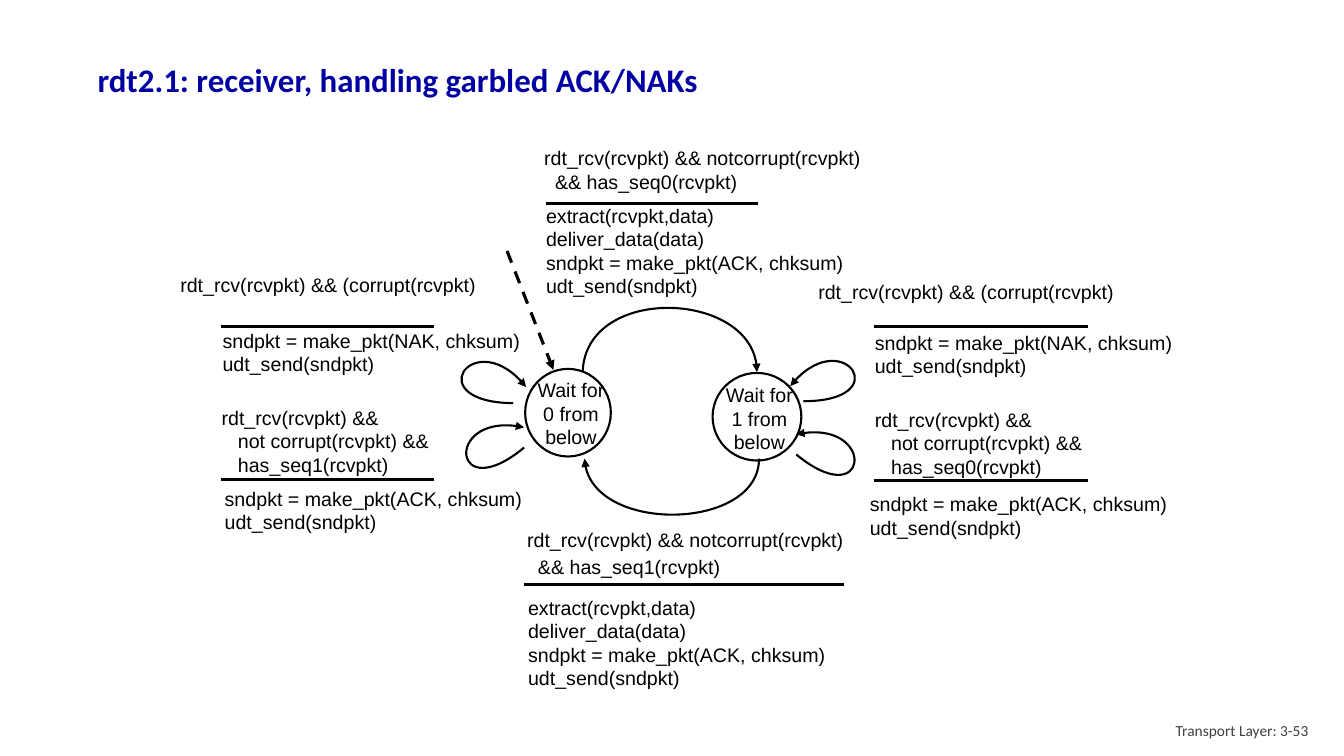
import pptx
import pptx.dml.color
import pptx.enum.dml
import pptx.enum.shapes
import pptx.enum.text
import pptx.oxml.ns
import pptx.util

Pt = pptx.util.Pt
qn = pptx.oxml.ns.qn
Align = pptx.enum.text.PP_ALIGN
Anchor = pptx.enum.text.MSO_ANCHOR

COLORS = {"title": "0000A3", "ink": "000000", "paper": "FFFFFF", "footer": "404040"}

NOT_CORRUPT = "rdt_rcv(rcvpkt) && notcorrupt(rcvpkt)"
CORRUPT = ["rdt_rcv(rcvpkt) && (corrupt(rcvpkt)"]
SEND = "udt_send(sndpkt)"
SEND_NAK = ["sndpkt = make_pkt(NAK, chksum)", SEND]
SEND_ACK = ["sndpkt = make_pkt(ACK, chksum)", SEND]
DELIVER = ["extract(rcvpkt,data)", "deliver_data(data)"] + SEND_ACK


def duplicate(sequence):
    """Event lines for a packet that carries the unexpected sequence number."""
    return ["rdt_rcv(rcvpkt) &&", "   not corrupt(rcvpkt) &&", f"   has_seq{sequence}(rcvpkt)"]


# event lines, event box, bar (left, right, y), action lines, action box, extra gap
TRANSITIONS = [
    ([NOT_CORRUPT, "  && has_seq0(rcvpkt)"], (381.6, 100.8, 313.2, 44.6),
     (390.2, 541.4, 145.4), DELIVER, (383, 141.8, 273.6, 55.4), 0),
    ([NOT_CORRUPT, "  && has_seq1(rcvpkt)"], (369.4, 373.7, 281.5, 44.6),
     (374.4, 602.6, 417.6), DELIVER, (370.1, 421.9, 303.1, 77.8), 2),
    (CORRUPT, (577.4, 196.6, 226, 23),
     (624.2, 776.9, 233.3), SEND_NAK, (617.8, 232.6, 238.3, 32.4), 0),
    (duplicate(0), (617.8, 287.7, 206.6, 47.5),
     (624.2, 776.9, 343.4), SEND_ACK, (614.2, 347.8, 231, 32.4), 0),
    (CORRUPT, (121.7, 191.5, 226, 23),
     (157.7, 310.3, 233.3), SEND_NAK, (151.9, 231.1, 238.3, 32.4), 0),
    (duplicate(1), (151.2, 286.3, 206.6, 47.5),
     (157.7, 310.3, 342.7), SEND_ACK, (153.4, 344.2, 231, 32.4), 0),
]

# start, two control points, end
ARROW_CURVES = [
    [(416.2, 265.7), (418.3, 203.8), (540.7, 207.4), (540.7, 265.7)],
    [(542.2, 327.6), (542.2, 378.7), (419.8, 381.6), (417.6, 327.6)],
    [(573.8, 286.6), (640.1, 286.6), (601.2, 229.7), (564.5, 275.8)],
    [(568.8, 324.7), (620.6, 367.2), (626.4, 298.1), (568.8, 310.3)],
    [(366.5, 288), (300.2, 287.3), (339.1, 230.4), (375.8, 276.5)],
    [(374.4, 319.7), (323.3, 362.2), (316.8, 293), (374.4, 305.3)],
]

# circle box, label box, label lines
STATES = [
    ((375.1, 263.5, 61.2, 62.6), (376.6, 266.4, 62.6, 47.5), ["Wait for", "0 from below"]),
    ((509, 266.4, 63.4, 62.6), (511.2, 270, 62.6, 47.5), ["Wait for", "1 from below"]),
]


def rgb(name):
    return pptx.dml.color.RGBColor.from_string(COLORS[name])


def add_text(slide, box, lines, size=14, font="Arial", color="ink", bold=False,
             align=Align.LEFT, anchor=Anchor.TOP, spacing=1.0, gap=0):
    frame = slide.shapes.add_textbox(*map(Pt, box)).text_frame
    frame.word_wrap = True
    frame.vertical_anchor = anchor
    for index, line in enumerate(lines):
        paragraph = frame.add_paragraph() if index else frame.paragraphs[0]
        paragraph.alignment = align
        paragraph.line_spacing = spacing
        if index and gap:
            paragraph.space_before = Pt(gap)
        run = paragraph.add_run()
        run.text = line
        run.font.name = font
        run.font.size = Pt(size)
        run.font.bold = bold
        run.font.color.rgb = rgb(color)


def style_line(line, width):
    line.color.rgb = rgb("ink")
    line.width = Pt(width)


def add_arrowhead(shape):
    outline = shape.line._get_or_add_ln()
    outline.append(outline.makeelement(qn("a:tailEnd"), {"type": "triangle"}))


def add_line(slide, start, end):
    connector = slide.shapes.add_connector(
        pptx.enum.shapes.MSO_CONNECTOR.STRAIGHT, *map(Pt, start + end))
    style_line(connector.line, 2.25)
    properties = connector._element.spPr
    properties.append(properties.makeelement(qn("a:effectLst"), {}))
    return connector


def add_curve(slide, points):
    """Draw a cubic curve with an arrowhead at its end."""
    start, *others = [(Pt(x), Pt(y)) for x, y in points]
    builder = slide.shapes.build_freeform(*start)
    builder.add_line_segments(others, close=False)
    shape = builder.convert_to_shape()
    outline_path = next(shape._element.iter(qn("a:path")))
    curve = outline_path.makeelement(qn("a:cubicBezTo"), {})
    for segment in outline_path.findall(qn("a:lnTo")):
        curve.append(segment[0])
        outline_path.remove(segment)
    outline_path.append(curve)
    shape.shadow.inherit = False
    shape.fill.background()
    style_line(shape.line, 1.5)
    add_arrowhead(shape)


def add_state(slide, circle_box, label_box, lines):
    circle = slide.shapes.add_shape(
        pptx.enum.shapes.MSO_SHAPE.OVAL, *map(Pt, circle_box))
    circle.shadow.inherit = False
    circle.fill.solid()
    circle.fill.fore_color.rgb = rgb("paper")
    style_line(circle.line, 1.5)
    add_text(slide, label_box, lines, align=Align.CENTER)


def add_transition(slide, event, event_box, bar, action, action_box, gap):
    """Write the event above the bar and the action below it."""
    left, right, y = bar
    add_text(slide, event_box, event, gap=gap)
    add_line(slide, (left, y), (right, y))
    add_text(slide, action_box, action)


def main():
    presentation = pptx.Presentation()
    presentation.slide_width = Pt(960)
    presentation.slide_height = Pt(540)
    slide = presentation.slides.add_slide(presentation.slide_layouts[6])

    add_text(slide, (62.6, 23, 874.1, 70.6), ["rdt2.1: receiver, handling garbled ACK/NAKs"],
             size=23.5, font="Calibri", color="title", bold=True,
             anchor=Anchor.MIDDLE, spacing=0.9)
    for state in STATES:
        add_state(slide, *state)
    initial_arrow = add_line(slide, (362.2, 179.3), (395.3, 264.2))
    initial_arrow.line.dash_style = pptx.enum.dml.MSO_LINE.DASH
    add_arrowhead(initial_arrow)
    for points in ARROW_CURVES:
        add_curve(slide, points)
    for transition in TRANSITIONS:
        add_transition(slide, *transition)
    add_text(slide, (725.8, 507.6, 216, 28.8), ["Transport Layer: 3-53"],
             size=11, font="Calibri", color="footer", align=Align.RIGHT,
             anchor=Anchor.MIDDLE)

    presentation.save("out.pptx")


if __name__ == "__main__":
    main()
